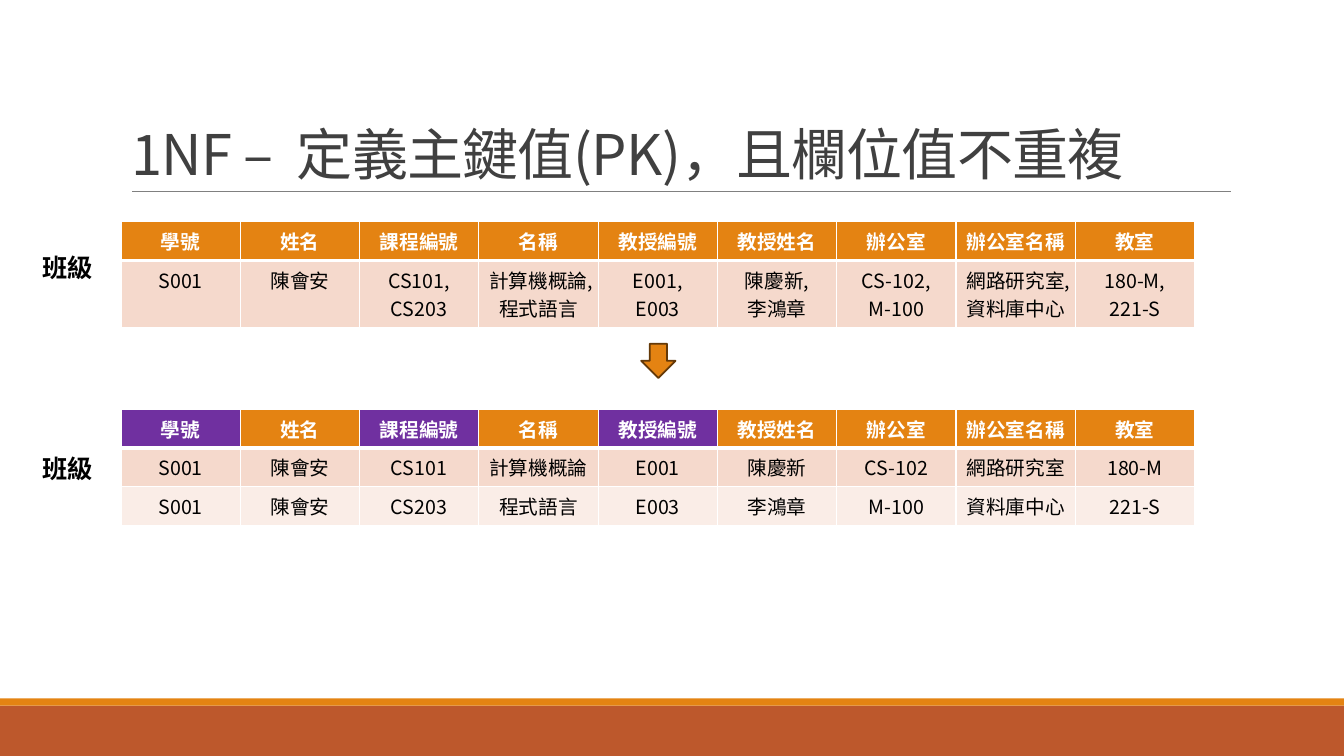
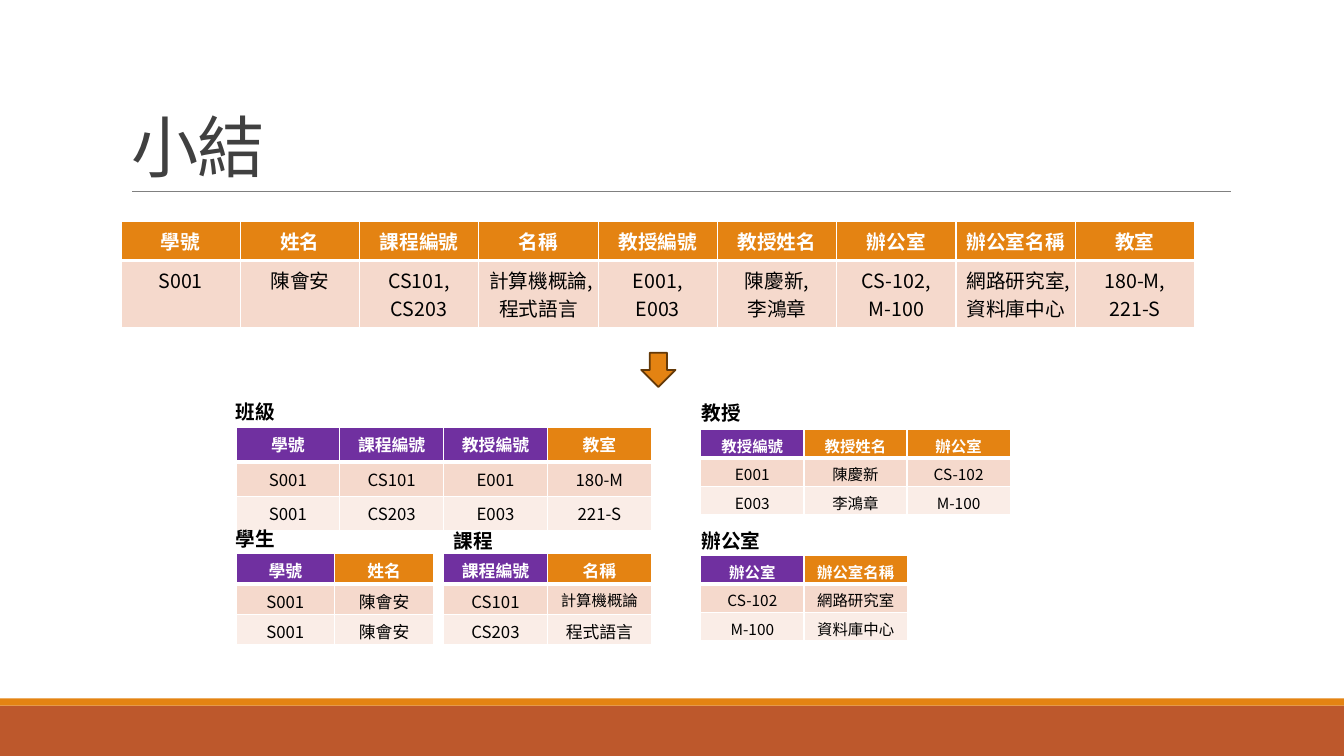
from lxml.etree import SubElement
from pptx import Presentation
from pptx.dml.color import RGBColor
from pptx.enum.shapes import MSO_CONNECTOR, MSO_SHAPE
from pptx.enum.text import MSO_ANCHOR, MSO_AUTO_SIZE, PP_ALIGN
from pptx.oxml import parse_xml
from pptx.oxml.ns import nsdecls, qn
from pptx.util import Inches, Pt

COLORS = {
    "orange": "E48312", "rust": "BD582C", "purple": "7030A0",
    "odd": "F5D9CC", "even": "FAEDE7", "white": "FFFFFF",
    "black": "000000", "title": "404040", "rule": "808080", "outline": "643908",
}
RGB = {name: RGBColor.from_string(value) for name, value in COLORS.items()}
CJK = "Noto Sans CJK SC"


def write_text(frame, text, size=14, color="black", bold=False, font=CJK,
               align=PP_ALIGN.LEFT, line_spacing=None, tracking=None):
    """Fill a text frame, one paragraph for each line of text."""
    frame.word_wrap = True
    for index, line in enumerate(text.split("\n")):
        para = frame.add_paragraph() if index else frame.paragraphs[0]
        para.alignment = align
        para.line_spacing = line_spacing
        span = para.add_run()
        span.text = line
        span.font.size = Pt(size)
        span.font.bold = bold
        span.font.color.rgb = RGB[color]
        span.font.name = font
        props = span.font._element
        SubElement(props, qn("a:ea")).set("typeface", CJK)
        if tracking is not None:
            props.set("spc", str(int(tracking * 100)))


def add_grid(page, left, top, width, heights, rows, keys=(), size=14,
             bottom=0.05, small=()):
    """Add a table; keys are purple header columns, small the cells set at 11 pt."""
    columns = len(rows[0])
    table = page.shapes.add_table(
        len(rows), columns, Inches(left), Inches(top),
        Inches(width), Inches(sum(heights))).table
    table.horz_banding = False
    for column in table.columns:
        column.width = Inches(width / columns)
    for r, values in enumerate(rows):
        table.rows[r].height = Inches(heights[r])
        for c, value in enumerate(values):
            cell = table.cell(r, c)
            cell.margin_bottom = Inches(bottom)
            if r == 0:
                fill = "purple" if c in keys else "orange"
            else:
                fill = "odd" if r % 2 else "even"
            cell.fill.solid()
            cell.fill.fore_color.rgb = RGB[fill]
            write_text(cell.text_frame, value, align=PP_ALIGN.CENTER,
                       size=11 if (r, c) in small else size,
                       color="black" if r else "white", bold=r == 0)
            # White borders, with a thick one under the header
            points = {"L": 1, "R": 1, "T": 3 if r == 1 else 1, "B": 1 if r else 3}
            for index, (side, weight) in enumerate(points.items()):
                cell._tc.get_or_add_tcPr().insert(index, parse_xml(
                    f'<a:ln{side} {nsdecls("a")} w="{Pt(weight)}"><a:solidFill>'
                    f'<a:srgbClr val="{COLORS["white"]}"/></a:solidFill></a:ln{side}>'))


# Content
HEADER = ["學號", "姓名", "課程編號", "名稱", "教授編號",
          "教授姓名", "辦公室", "辦公室名稱", "教室"]
RECORDS = [
    ["S001", "陳會安", "CS101", "計算機概論", "E001",
     "陳慶新", "CS-102", "網路研究室", "180-M"],
    ["S001", "陳會安", "CS203", "程式語言", "E003",
     "李鴻章", "M-100", "資料庫中心", "221-S"],
]
FULL = [HEADER] + RECORDS
# The first field pair (student) is the same in both records, so it shows once
MERGED = [first if first == second else f"{first},\n{second}"
          for first, second in zip(*RECORDS)]

deck = Presentation()
deck.slide_width, deck.slide_height = Inches(13.33), Inches(7.5)

# Shared parts: bands, rule, title, unnormalized table and arrow
pages = []
for title_text, title_size, title_font, arrow_top in [
    ("1NF –  定義主鍵值(PK)，且欄位值不重複", 40, CJK, 3.41),
    ("小結", 48, "Calibri", 3.5),
]:
    page = deck.slides.add_slide(deck.slide_layouts[5])
    pages.append(page)

    title = page.shapes.title
    title.left, title.top = Inches(1.2), Inches(0.31)
    title.width, title.height = Inches(11), Inches(1.59)
    title.text_frame.auto_size = MSO_AUTO_SIZE.NONE
    title.text_frame.vertical_anchor = MSO_ANCHOR.BOTTOM
    write_text(title.text_frame, title_text, size=title_size, font=title_font,
               color="title", line_spacing=0.85, tracking=-0.5)

    for kind, left, top, width, height, fill, outline in [
        (MSO_SHAPE.RECTANGLE, 0, 7, 13.33, 0.5, "rust", None),
        (MSO_SHAPE.RECTANGLE, 0, 6.93, 13.33, 0.07, "orange", None),
        (MSO_SHAPE.DOWN_ARROW, 6.36, arrow_top, 0.34, 0.34, "orange", "outline"),
    ]:
        shape = page.shapes.add_shape(
            kind, Inches(left), Inches(top), Inches(width), Inches(height))
        shape.shadow.inherit = False
        shape.fill.solid()
        shape.fill.fore_color.rgb = RGB[fill]
        if outline:
            shape.line.color.rgb = RGB[outline]
            shape.line.width = Pt(1.25)
        else:
            shape.line.fill.background()

    rule = page.shapes.add_connector(
        MSO_CONNECTOR.STRAIGHT, Inches(1.31), Inches(1.9), Inches(12.21), Inches(1.9))
    rule.line.color.rgb = RGB["rule"]
    rule.line.width = Pt(0.5)
    SubElement(rule._element.spPr, qn("a:effectLst"))

    add_grid(page, 1.2, 2.2, 10.65, [0.38, 0.66], [HEADER, MERGED])

first_form, summary = pages

# First normal form: one record per row
add_grid(first_form, 1.2, 4.06, 10.65, [0.38] * 3, FULL, keys=(0, 2, 4))

# Summary: each table takes its fields from the full one
for left, top, width, row_height, fields, key_count, style in [
    (2.34, 4.24, 4.12, 0.34, (0, 2, 4, 8), 3, {"size": 12}),
    (2.34, 5.49, 1.96, 0.3, (0, 1), 1, {"size": 12, "bottom": 0.01}),
    (4.4, 5.49, 2.06, 0.3, (2, 3), 1,
     {"size": 12, "bottom": 0.01, "small": [(1, 1)]}),
    (6.95, 4.26, 3.07, 0.28, (4, 5, 6), 1, {"size": 11, "bottom": 0.01}),
    (6.95, 5.51, 2.05, 0.28, (6, 7), 1, {"size": 11, "bottom": 0.01}),
]:
    rows = [[record[field] for field in fields] for record in FULL]
    add_grid(summary, left, top, width, [row_height] * 3, rows,
             keys=range(key_count), **style)

# Table names
for page, text, left, top, width, height, size in [
    (first_form, "班級", 0.32, 2.45, 0.74, 0.4, 18),
    (first_form, "班級", 0.32, 4.45, 0.74, 0.4, 18),
    (summary, "班級", 2.24, 3.92, 0.74, 0.34, 14),
    (summary, "學生", 2.24, 5.18, 0.74, 0.34, 14),
    (summary, "課程", 4.4, 5.2, 0.74, 0.34, 14),
    (summary, "教授", 6.86, 3.93, 0.74, 0.34, 14),
    (summary, "辦公室", 6.86, 5.2, 1.04, 0.34, 14),
]:
    box = page.shapes.add_textbox(
        Inches(left), Inches(top), Inches(width), Inches(height))
    write_text(box.text_frame, text, size=size, bold=True)

deck.save("out.pptx")
